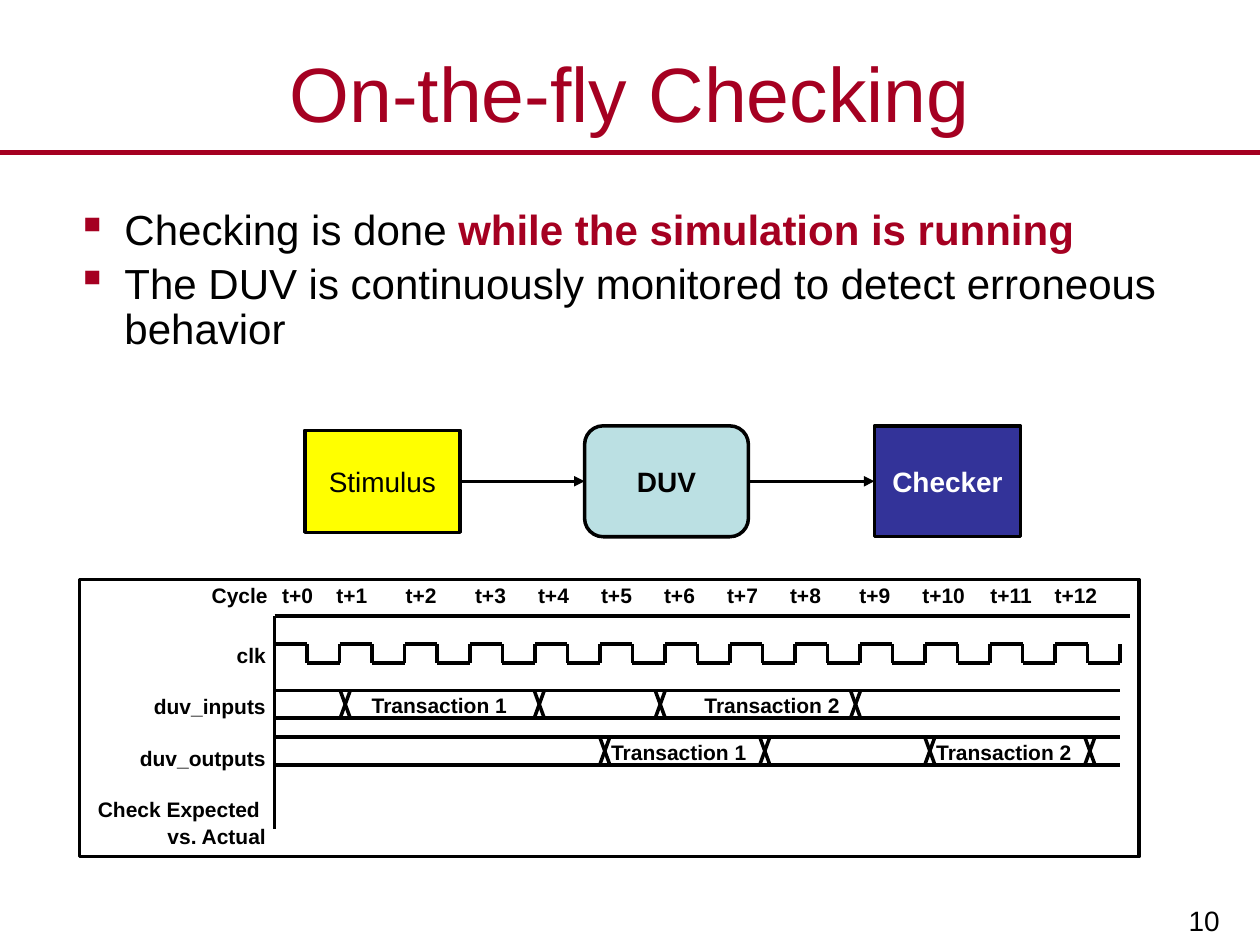
from lxml import etree
from pptx import Presentation
from pptx.dml.color import RGBColor
from pptx.enum.shapes import MSO_CONNECTOR, MSO_SHAPE
from pptx.enum.text import MSO_ANCHOR, PP_ALIGN
from pptx.oxml.ns import qn
from pptx.util import Inches, Pt

STRAIGHT = MSO_CONNECTOR.STRAIGHT
RECTANGLE, ROUNDED = MSO_SHAPE.RECTANGLE, MSO_SHAPE.ROUNDED_RECTANGLE
TOP, MIDDLE, BOTTOM = MSO_ANCHOR.TOP, MSO_ANCHOR.MIDDLE, MSO_ANCHOR.BOTTOM
LEFT, CENTER, RIGHT = PP_ALIGN.LEFT, PP_ALIGN.CENTER, PP_ALIGN.RIGHT
SIDE_LEFT, SIDE_RIGHT = 1, 3

COLORS = {
    "accent": "A50021",
    "ink": "000000",
    "white": "FFFFFF",
    "stimulus": "FFFF00",
    "duv": "BBE0E3",
    "checker": "333399",
}
LABEL = {"size": Pt(12), "bold": True}
CYCLES = 13
# Left edge of each cycle label, measured from the start of the header text
CYCLE_TABS = [0.56, 0.99, 1.54, 2.09, 2.59, 3.09, 3.59,
              4.09, 4.59, 5.14, 5.64, 6.18, 6.69]


def color(name):
    return RGBColor.from_string(COLORS[name])


def add_run(paragraph, text, font_format, ink="ink"):
    run = paragraph.add_run()
    run.text = text
    run.font.name = "Arial"
    run.font.color.rgb = color(ink)
    for name, value in font_format.items():
        setattr(run.font, name, value)


def set_frame(frame, anchor=TOP, wrap=True, inset_x=0.1, inset_y=0.05):
    values = {
        "word_wrap": wrap, "vertical_anchor": anchor,
        "margin_left": Inches(inset_x), "margin_right": Inches(inset_x),
        "margin_top": Inches(inset_y), "margin_bottom": Inches(inset_y),
    }
    for name, value in values.items():
        setattr(frame, name, value)


def add_text_frame(slide, box, **frame_format):
    shape = slide.shapes.add_textbox(*map(Inches, box))
    set_frame(shape.text_frame, **frame_format)
    return shape.text_frame


def add_text(slide, box, text, font_format, align=LEFT, ink="ink", **frame_format):
    """Add a text box with one paragraph and return that paragraph."""
    paragraph = add_text_frame(slide, box, **frame_format).paragraphs[0]
    paragraph.alignment = align
    add_run(paragraph, text, font_format, ink)
    return paragraph


def add_line(slide, start, end, ink="ink", width=2):
    line = slide.shapes.add_connector(STRAIGHT, *map(Inches, (*start, *end)))
    line.line.color.rgb = color(ink)
    line.line.width = Pt(width)
    etree.SubElement(line._element.spPr, qn("a:effectLst"))
    return line


def add_box(slide, kind, box, fill=None):
    shape = slide.shapes.add_shape(kind, *map(Inches, box))
    shape.shadow.inherit = False
    shape.line.color.rgb = color("ink")
    shape.line.width = Pt(2)
    if fill:
        shape.fill.solid()
        shape.fill.fore_color.rgb = color(fill)
    else:
        shape.fill.background()
    return shape


def add_heading(slide, box):
    left, top, width, height = box
    add_line(slide, (left, top + height + 0.05), (left + width, top + height + 0.05),
             "accent", 3)
    add_text(slide, box, "On-the-fly Checking", {"size": Pt(44)}, CENTER, "accent",
             anchor=MIDDLE)


def add_bullets(slide, box):
    bullets = [
        [("Checking is done ", False), ("while the simulation is running", True)],
        [("The DUV is continuously monitored to detect erroneous behavior", False)],
    ]
    frame = add_text_frame(slide, box)
    for index, parts in enumerate(bullets):
        paragraph = frame.add_paragraph() if index else frame.paragraphs[0]
        paragraph.line_spacing = 0.9
        paragraph.space_before = Pt(4.8)
        properties = paragraph._p.get_or_add_pPr()
        properties.set("marL", str(Inches(0.38)))
        properties.set("indent", str(Inches(-0.38)))
        bullet_color = etree.SubElement(properties, qn("a:buClr"))
        etree.SubElement(bullet_color, qn("a:srgbClr"), val=COLORS["accent"])
        etree.SubElement(properties, qn("a:buChar"), char="▪")
        for text, strong in parts:
            add_run(paragraph, text, {"size": Pt(24), "bold": strong},
                    "accent" if strong else "ink")


def add_flow(slide, box):
    left, top, width, height = box
    middle = top + height / 2
    stages = [  # name, kind, offset, width, height, fill, text colour, bold
        ("Stimulus", RECTANGLE, 0, 1.23, 0.81, "stimulus", "ink", False),
        ("DUV", ROUNDED, 2.22, 1.3, height, "duv", "ink", True),
        ("Checker", RECTANGLE, width - 1.16, 1.16, height, "checker", "white", True),
    ]
    shapes = []
    for name, kind, offset, stage_width, stage_height, fill, ink, bold in stages:
        shape = add_box(slide, kind, (left + offset, middle - stage_height / 2,
                                      stage_width, stage_height), fill)
        set_frame(shape.text_frame, MIDDLE, False, 0.09, 0.04)
        paragraph = shape.text_frame.paragraphs[0]
        paragraph.alignment = CENTER
        add_run(paragraph, name, {"size": Pt(16), "bold": bold}, ink)
        shapes.append(shape)
    for source, target in zip(shapes, shapes[1:]):
        arrow = add_line(slide, (left, middle), (left + width, middle))
        arrow.begin_connect(source, SIDE_RIGHT)
        arrow.end_connect(target, SIDE_LEFT)
        etree.SubElement(arrow.line._get_or_add_ln(), qn("a:tailEnd"), type="triangle")


def add_cycle_header(slide, box):
    text = "\t".join(["Cycle"] + [f"t+{cycle}" for cycle in range(CYCLES)])
    paragraph = add_text(slide, box, text, LABEL, inset_x=0.09, inset_y=0.04)
    tabs = etree.SubElement(paragraph._p.get_or_add_pPr(), qn("a:tabLst"))
    for position in CYCLE_TABS:
        etree.SubElement(tabs, qn("a:tab"), pos=str(Inches(position)), algn="l")


def add_signal_names(slide, box):
    names = [("clk", 0), ("duv_inputs", 15), ("duv_outputs", 15),
             ("Check Expected ", 15), ("vs. Actual", 1)]
    frame = add_text_frame(slide, box, inset_x=0.09, inset_y=0.04)
    for index, (name, gap) in enumerate(names):
        paragraph = frame.add_paragraph() if index else frame.paragraphs[0]
        paragraph.alignment = RIGHT
        paragraph.space_before = Pt(gap)
        add_run(paragraph, name, LABEL)


def add_clock(slide, box):
    left, top, width, height = box
    half = width / CYCLES / 2
    for cycle in range(CYCLES):
        start = left + 2 * half * cycle
        points = [(start, top), (start + half, top), (start + half, top + height),
                  (start + 2 * half, top + height), (start + 2 * half, top)]
        for begin, end in zip(points, points[1:]):
            add_line(slide, begin, end)


def add_bus(slide, box, crossings, labels):
    """Draw a bus with value changes at crossings and text at labels (x, text)."""
    left, top, width, height = box
    bottom = top + height
    for y in (top, bottom):
        add_line(slide, (left, y), (left + width, y))
    for x in crossings:
        add_line(slide, (x, top), (x + 0.08, bottom))
        add_line(slide, (x + 0.08, top), (x, bottom))
    for x, text in labels:
        add_text(slide, (x, top - 0.02, 1.29, 0.3), text, LABEL,
                 wrap=False, inset_x=0.09, inset_y=0.04)


def add_timing_diagram(slide, box):
    left, top, width, height = box
    axis, axis_top, signal_width = left + 1.55, top + 0.29, 6.71
    add_box(slide, RECTANGLE, box)
    add_cycle_header(slide, (left + 0.96, top - 0.02, 7.84, 0.3))
    add_signal_names(slide, (left + 0.02, top + 0.46, 1.55, 1.94))
    add_line(slide, (axis, axis_top), (axis, axis_top + 1.69))
    add_line(slide, (axis, axis_top), (left + width - 0.07, axis_top))
    add_clock(slide, (axis, top + 0.51, signal_width, 0.15))
    add_bus(slide, (axis, top + 0.88, signal_width, 0.22), [2.7, 4.24, 5.2, 6.75],
            [(2.86, "Transaction 1"), (5.5, "Transaction 2")])
    add_bus(slide, (axis, top + 1.25, signal_width, 0.22), [4.76, 6.03, 7.34, 8.61],
            [(4.76, "Transaction 1"), (7.34, "Transaction 2")])


def main():
    presentation = Presentation()
    presentation.slide_width, presentation.slide_height = Inches(10), Inches(7.5)
    slide = presentation.slides.add_slide(presentation.slide_layouts[6])
    add_heading(slide, (0, 0.3, 10, 0.86))
    add_bullets(slide, (0.51, 1.61, 9, 1.48))
    add_flow(slide, (2.42, 3.38, 5.68, 0.88))
    add_timing_diagram(slide, (0.63, 4.6, 8.41, 2.2))
    add_text(slide, (7.8, 6.93, 1.99, 0.57), "10", {"size": Pt(16)}, RIGHT,
             anchor=BOTTOM, inset_x=0.11, inset_y=0.06)
    presentation.save("out.pptx")


if __name__ == "__main__":
    main()
